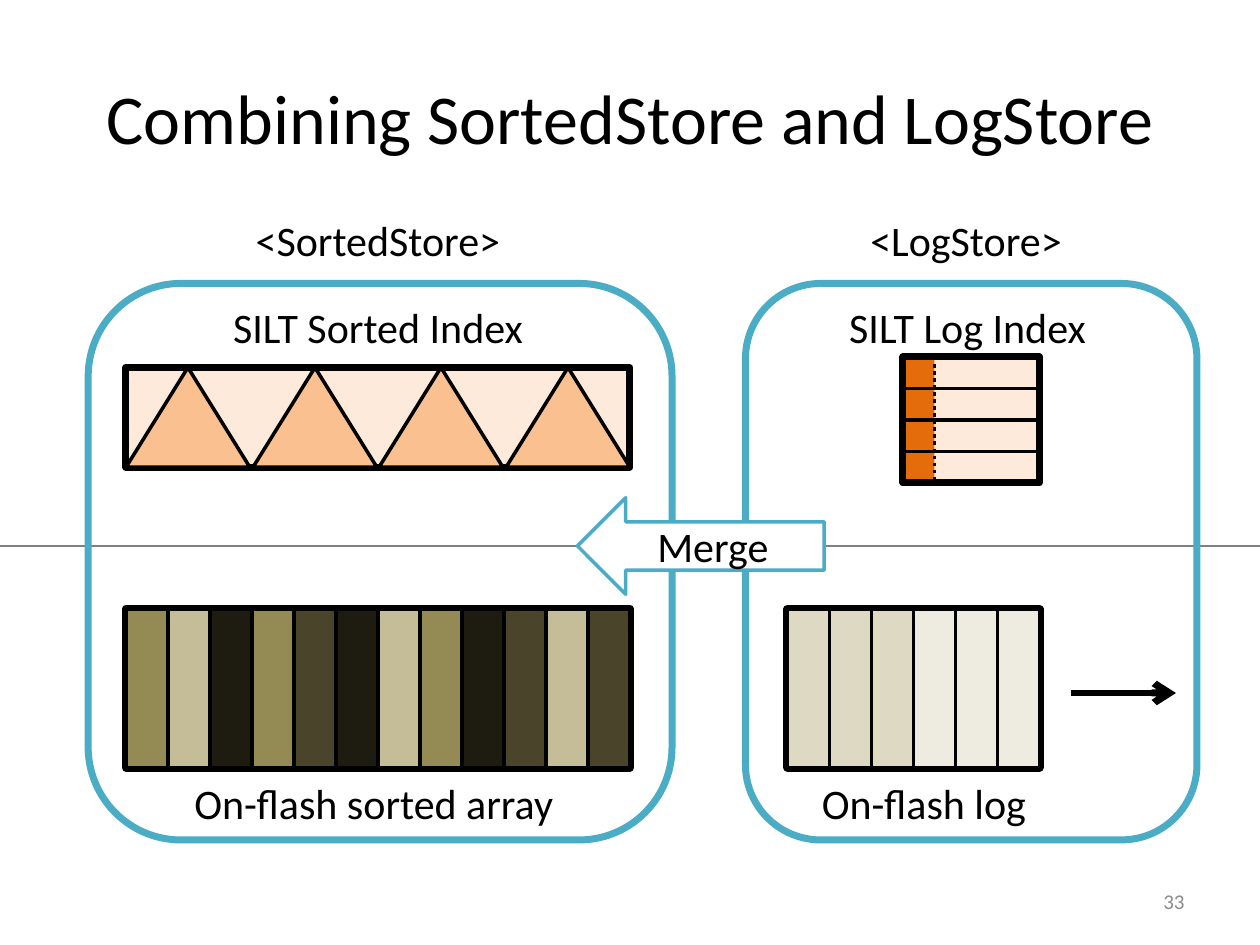
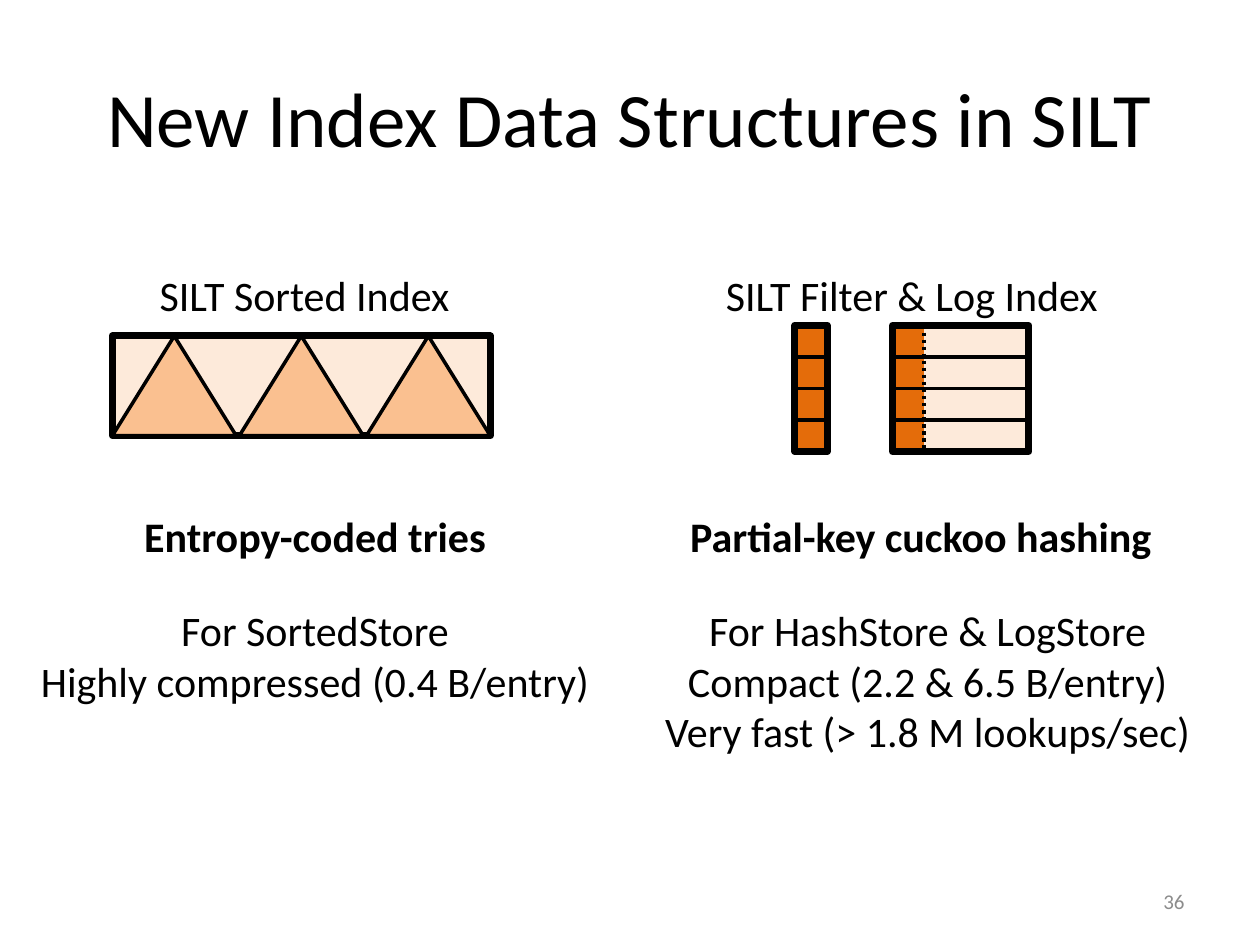
from dataclasses import dataclass

from lxml.etree import SubElement
from pptx import Presentation
from pptx.dml.color import RGBColor as RGB
from pptx.enum.dml import MSO_LINE as Dash
from pptx.enum.shapes import MSO_CONNECTOR as Link, MSO_SHAPE as Kind
from pptx.enum.text import MSO_ANCHOR as Anchor, PP_ALIGN as Align
from pptx.oxml.ns import qn
from pptx.shapes.autoshape import Shape
from pptx.slide import Slide
from pptx.util import Pt

PX = 914400 // 120
FONT = "Calibri"
BLACK = RGB(0, 0, 0)
WHITE = RGB(255, 255, 255)
GREY = RGB(0x80, 0x80, 0x80)
PAGE = RGB(0x8C, 0x8C, 0x8C)
TEAL = RGB(0x4B, 0xAC, 0xC6)
PEACH = RGB(0xFD, 0xEA, 0xDA)
APRICOT = RGB(0xFA, 0xC0, 0x90)
ORANGE = RGB(0xE4, 0x6C, 0x0A)
OLIVE = RGB(0x94, 0x8A, 0x54)
SAND = RGB(0xC4, 0xBD, 0x97)
UMBER = RGB(0x4A, 0x45, 0x2A)
SOOT = RGB(0x1E, 0x1C, 0x11)
CREAM = RGB(0xDD, 0xD9, 0xC3)
PEARL = RGB(0xEE, 0xEC, 0xE1)
ARRAY = [OLIVE, SAND, SOOT, OLIVE, UMBER, SOOT,
         SAND, OLIVE, SOOT, UMBER, SAND, UMBER]
LOG = [CREAM] * 3 + [PEARL] * 3
CELL = 40
ROW = 30
ROWS = 4


@dataclass(frozen=True)
class Area:
    x: int
    y: int
    w: int
    h: int

    def emu(self) -> list[int]:
        return [n * PX for n in (self.x, self.y, self.w, self.h)]


@dataclass(frozen=True)
class Label:
    text: str
    area: Area
    size: int = 24
    bold: bool = False
    color: RGB = BLACK
    align: Align = Align.CENTER
    anchor: Anchor = Anchor.MIDDLE


def write(shape: Shape, label: Label) -> None:
    frame = shape.text_frame
    frame.word_wrap = True
    frame.vertical_anchor = label.anchor
    frame.text = label.text
    for para in frame.paragraphs:
        para.alignment = label.align
        for run in para.runs:
            font = run.font
            font.name, font.size = FONT, Pt(label.size)
            font.bold, font.color.rgb = label.bold, label.color


def put(slide: Slide, *labels: Label) -> None:
    for label in labels:
        write(slide.shapes.add_textbox(*label.area.emu()), label)


def box(slide: Slide, area: Area, fill: RGB | None = None, width: int = 0,
        color: RGB = BLACK, kind: Kind = Kind.RECTANGLE) -> Shape:
    shape = slide.shapes.add_shape(kind, *area.emu())
    shape.shadow.inherit = False
    if fill is None:
        shape.fill.background()
    else:
        shape.fill.solid()
        shape.fill.fore_color.rgb = fill
    if width:
        shape.line.color.rgb = color
        shape.line.width = Pt(width)
    else:
        shape.line.fill.background()
    return shape


def rule(slide: Slide, x: int, y: int, w: int, h: int, width: float = 2,
         color: RGB = BLACK, dash: Dash | None = None,
         arrow: bool = False) -> None:
    ends = [n * PX for n in (x, y, x + w, y + h)]
    line = slide.shapes.add_connector(Link.STRAIGHT, *ends)
    line.line.color.rgb = color
    line.line.width = Pt(width)
    if dash:
        line.line.dash_style = dash
    if arrow:
        SubElement(line.line._get_or_add_ln(), qn("a:tailEnd"), type="arrow")
    SubElement(line._element.spPr, qn("a:effectLst"))


def frame(slide: Slide, title: str, size: int, page: str) -> None:
    put(slide, Label(title, Area(60, 36, 1080, 150), size),
        Label(page, Area(860, 834, 280, 48), 12, color=PAGE,
              align=Align.RIGHT))


def tries(slide: Slide, x: int, y: int, count: int) -> None:
    full, side, high = count * 120, 118, 95
    box(slide, Area(x, y, full, high), PEACH, 4)
    for i in range(count):
        left = x + round(i * (full - side) / (count - 1))
        box(slide, Area(left, y, side, high), APRICOT, 2,
            kind=Kind.ISOSCELES_TRIANGLE)


def rows(slide: Slide, x: int, y: int, w: int) -> None:
    for i in range(1, ROWS):
        rule(slide, x, y + i * ROW, w, 0)


def table(slide: Slide, x: int, y: int) -> None:
    area = Area(x, y, 130, ROWS * ROW)
    box(slide, area, PEACH)
    box(slide, Area(x, y, ROW, area.h), ORANGE)
    rows(slide, x, y, area.w)
    rule(slide, x + ROW, y, 0, area.h, dash=Dash.ROUND_DOT)
    box(slide, area, width=4)


def filter_bar(slide: Slide, x: int, y: int) -> None:
    box(slide, Area(x, y, 31, ROWS * ROW), ORANGE, 4)
    rows(slide, x, y, 31)


def cells(slide: Slide, x: int, y: int, fills: list[RGB]) -> None:
    high = 151
    box(slide, Area(x, y, CELL * len(fills), high), width=5)
    for i, fill in enumerate(fills):
        box(slide, Area(x + i * CELL, y, CELL, high), fill, 2)


def stores(slide: Slide) -> None:
    rule(slide, 0, 520, 1200, 0, 1.5, GREY)
    for x, w in ((710, 430), (84, 556)):
        box(slide, Area(x, 270, w, 530), None, 4, TEAL,
            Kind.ROUNDED_RECTANGLE)
    frame(slide, "Combining SortedStore and LogStore", 40, "33")
    tries(slide, 120, 350, 4)
    cells(slide, 120, 580, ARRAY)
    cells(slide, 750, 580, LOG)
    rule(slide, 1020, 660, 100, 0, 4, arrow=True)
    table(slide, 860, 340)
    merge = Label("Merge", Area(550, 474, 235, 92))
    write(box(slide, merge.area, WHITE, 2, TEAL, Kind.LEFT_ARROW), merge)
    put(slide,
        Label("SILT Sorted Index", Area(140, 283, 440, 56)),
        Label("SILT Log Index", Area(630, 283, 583, 56)),
        Label("On-flash sorted array", Area(160, 740, 392, 50)),
        Label("On-flash log", Area(720, 740, 320, 50)))
    for text, x in (("<SortedStore>", 200), ("<LogStore>", 760)):
        head = Label(text, Area(x, 200, 320, 56))
        write(box(slide, head.area, WHITE), head)


def indexes(slide: Slide) -> None:
    frame(slide, "New Index Data Structures in SILT", 44, "36")
    tries(slide, 107, 320, 3)
    filter_bar(slide, 757, 310)
    table(slide, 850, 310)
    put(slide,
        Label("SILT Sorted Index", Area(70, 253, 440, 56)),
        Label("SILT Filter & Log Index", Area(577, 253, 583, 56)),
        Label("Entropy-coded tries", Area(40, 470, 520, 80), bold=True),
        Label("Partial-key cuckoo hashing", Area(607, 470, 540, 80),
              bold=True),
        Label("For SortedStore\nHighly compressed (0.4 B/entry)",
              Area(10, 570, 580, 210), anchor=Anchor.TOP),
        Label("For HashStore & LogStore\nCompact (2.2 & 6.5 B/entry)\n"
              "Very fast (> 1.8 M lookups/sec)",
              Area(607, 570, 553, 210), anchor=Anchor.TOP))


def main() -> None:
    deck = Presentation()
    deck.slide_width, deck.slide_height = 1200 * PX, 900 * PX
    for draw in (stores, indexes):
        draw(deck.slides.add_slide(deck.slide_layouts[6]))
    deck.save("out.pptx")


if __name__ == "__main__":
    main()
